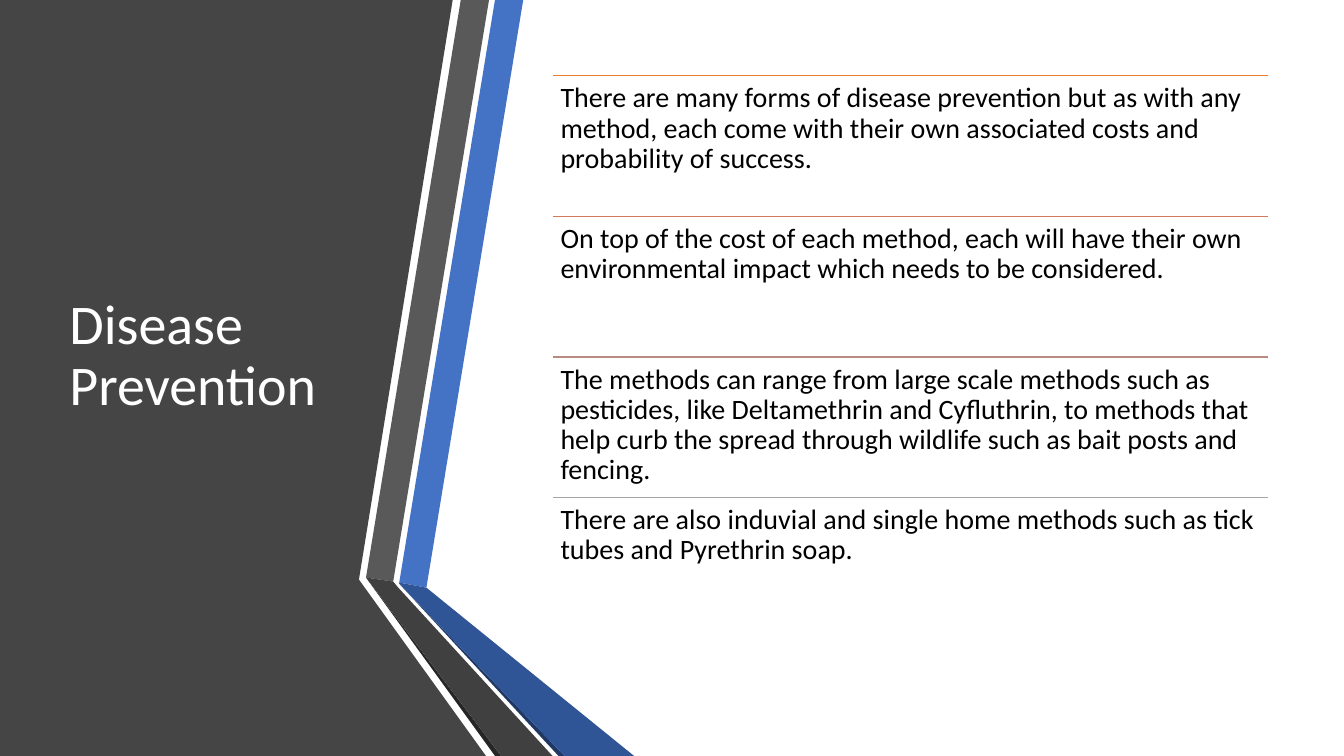
import pptx
import pptx.dml.color
import pptx.enum.shapes
import pptx.enum.text
import pptx.oxml
import pptx.util
from pptx.dml.color import RGBColor
from pptx.util import Inches

WHITE = RGBColor(0xFF, 0xFF, 0xFF)
BLACK = RGBColor(0x00, 0x00, 0x00)
PANEL_GREY = RGBColor(0x45, 0x45, 0x45)
BLUE = RGBColor(0x44, 0x72, 0xC4)
MID_BLUE = RGBColor(0x2F, 0x55, 0x97)
DARK_BLUE = RGBColor(0x20, 0x38, 0x64)
GREY = RGBColor(0x59, 0x59, 0x59)
MID_GREY = RGBColor(0x40, 0x40, 0x40)
DARK_GREY = RGBColor(0x26, 0x26, 0x26)
ORANGE = RGBColor(0xED, 0x7D, 0x31)
CLAY = RGBColor(0xD1, 0x7B, 0x5C)
ROSE = RGBColor(0xB9, 0x8A, 0x82)
SILVER = RGBColor(0xA5, 0xA5, 0xA5)

RIBBON_FACETS = [
    (PANEL_GREY, [(0, 0), (4.49, 0), (3.56, 5.75), (4.82, 7.5), (0, 7.5)]),
    (BLUE, [(3.96, 5.78), (4.23, 5.83), (5.19, 0), (4.91, 0)]),
    (GREY, [(4.85, 0), (4.57, 0), (3.63, 5.73), (3.9, 5.77)]),
    (DARK_GREY, [(3.63, 5.73), (4.91, 7.5), (4.97, 7.5)]),
    (DARK_BLUE, [(3.96, 5.79), (5.54, 7.5), (5.6, 7.5)]),
    (MID_BLUE, [(3.96, 5.78), (3.96, 5.79), (5.6, 7.5), (6.29, 7.5), (4.23, 5.83)]),
    (MID_GREY, [(5.48, 7.5), (3.95, 5.83), (3.9, 5.77), (3.63, 5.73), (4.97, 7.5)]),
]

POINTS = [
    (ORANGE, "There are many forms of disease prevention but as with any method, "
             "each come with their own associated costs and probability of success."),
    (CLAY, "On top of the cost of each method, each will have their own "
           "environmental impact which needs to be considered."),
    (ROSE, "The methods can range from large scale methods such as pesticides, "
           "like Deltamethrin and Cyfluthrin, to methods that help curb the spread "
           "through wildlife such as bait posts and fencing."),
    (SILVER, "There are also induvial and single home methods such as tick tubes "
             "and Pyrethrin soap."),
]

LIST_LEFT, LIST_TOP, LIST_WIDTH, ROW_HEIGHT = 5.48, 0.75, 7.1, 1.4
LIST_HEIGHT = 5.58


class SlidePainter:
    """Draws styled elements on one slide."""

    font = "Calibri"
    line_spacing = 0.9

    def __init__(self, page):
        self.page = page

    def polygon(self, corners, color):
        points = [(Inches(x), Inches(y)) for x, y in corners]
        builder = self.page.shapes.build_freeform(*points[0])
        builder.add_line_segments(points[1:], close=True)
        shape = builder.convert_to_shape()
        shape.shadow.inherit = False
        shape.fill.solid()
        shape.fill.fore_color.rgb = color
        shape.line.fill.background()

    def rule(self, left, top, width, color):
        line = self.page.shapes.add_connector(
            pptx.enum.shapes.MSO_CONNECTOR.STRAIGHT,
            Inches(left), Inches(top), Inches(left + width), Inches(top))
        line.line.color.rgb = color
        line.line.width = pptx.util.Pt(1)
        line._element.spPr.append(pptx.oxml.parse_xml(
            '<a:effectLst xmlns:a="http://schemas.openxmlformats.org/drawingml/2006/main"/>'))

    def text(self, bounds, words, size, color, anchor, inset_x, inset_y):
        box = self.page.shapes.add_textbox(*(Inches(length) for length in bounds))
        frame = box.text_frame
        frame.word_wrap = True
        frame.vertical_anchor = anchor
        frame.margin_left = frame.margin_right = Inches(inset_x)
        frame.margin_top = frame.margin_bottom = Inches(inset_y)
        frame.text = words
        para = frame.paragraphs[0]
        para.line_spacing = self.line_spacing
        span = para.runs[0]
        span.font.name = self.font
        span.font.size = pptx.util.Pt(size)
        span.font.color.rgb = color


def main():
    deck = pptx.Presentation()
    deck.slide_width, deck.slide_height = Inches(13.33), Inches(7.5)
    page = deck.slides.add_slide(deck.slide_layouts[6])
    page.background.fill.solid()
    page.background.fill.fore_color.rgb = WHITE
    painter = SlidePainter(page)

    for color, corners in RIBBON_FACETS:
        painter.polygon(corners, color)

    anchors = pptx.enum.text.MSO_ANCHOR
    painter.text((0.59, LIST_TOP, 3.04, LIST_HEIGHT), "Disease Prevention",
                 40, WHITE, anchors.MIDDLE, 0.1, 0.05)

    pitch = LIST_HEIGHT / len(POINTS)
    for index, (color, words) in enumerate(POINTS):
        top = LIST_TOP + index * pitch
        painter.rule(LIST_LEFT, top, LIST_WIDTH, color)
        painter.text((LIST_LEFT, top, LIST_WIDTH, ROW_HEIGHT), words,
                     20, BLACK, anchors.TOP, 0.08, 0.08)

    deck.save("out.pptx")


if __name__ == "__main__":
    main()
